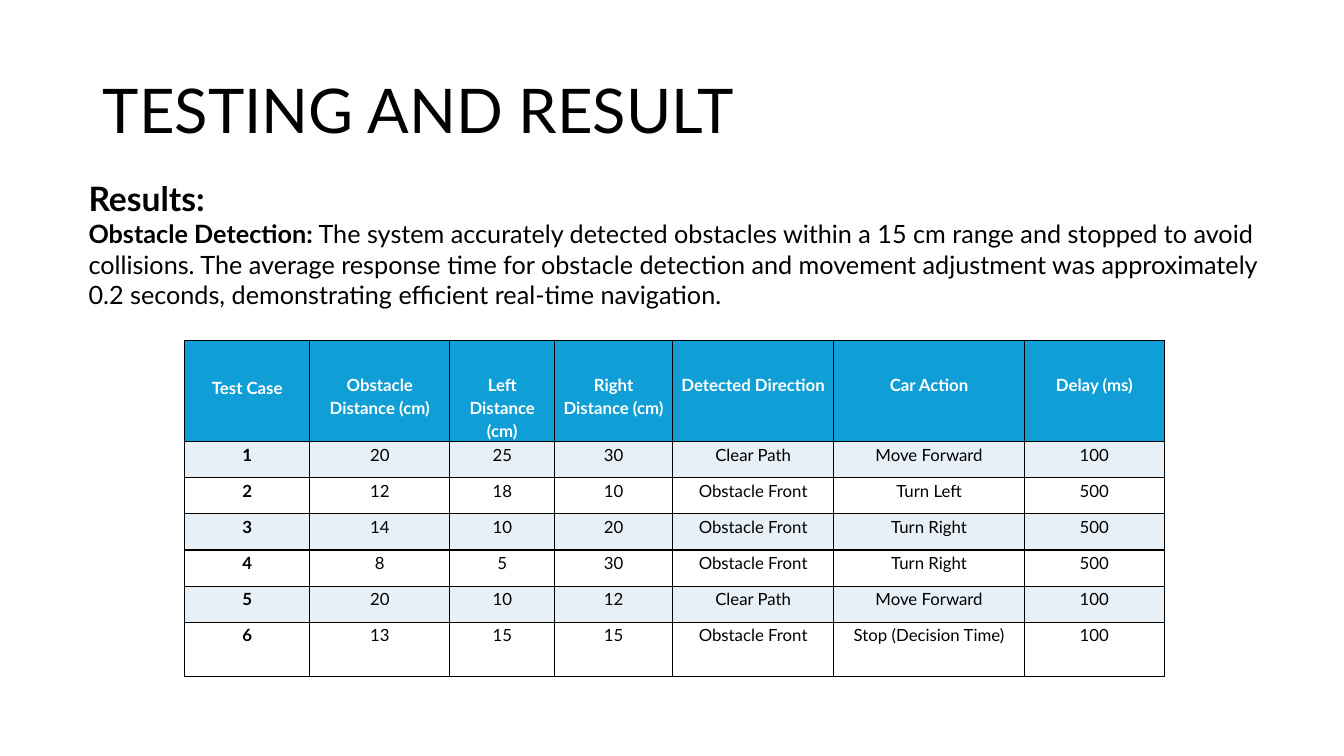
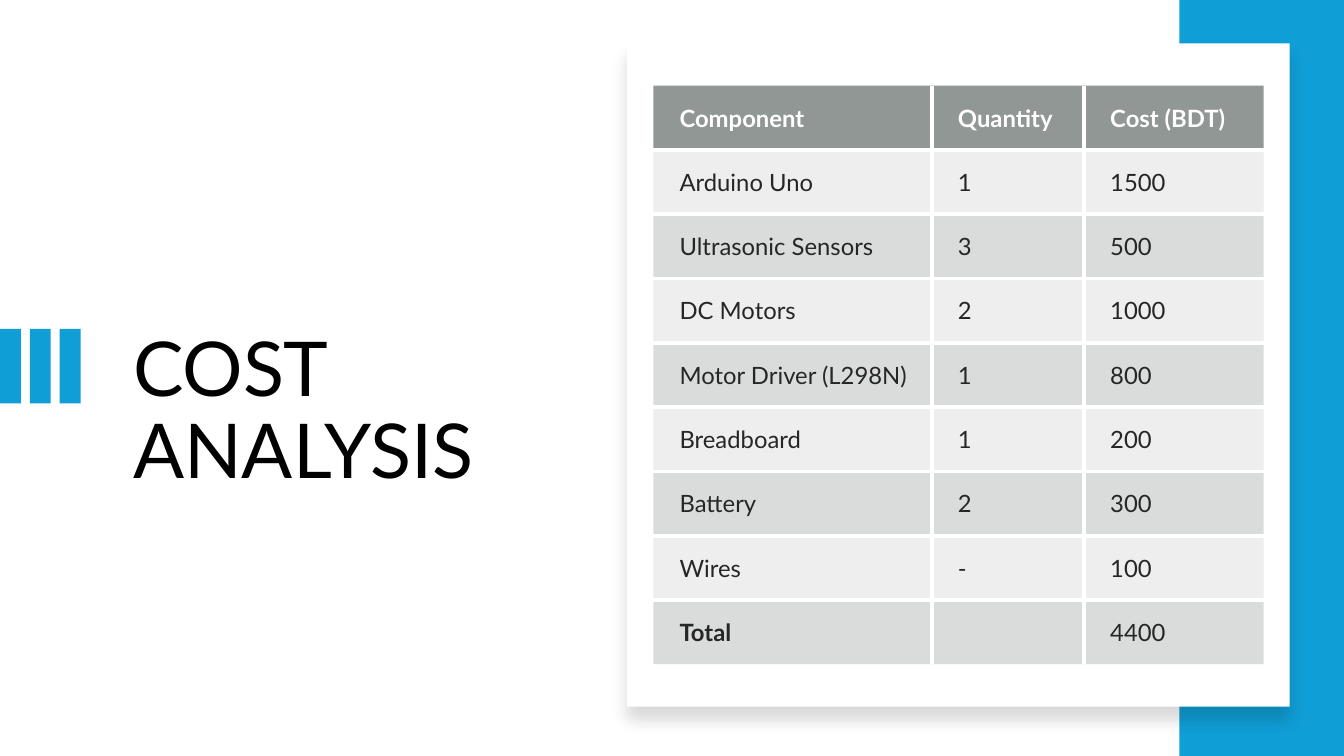
from dataclasses import dataclass

from lxml.etree import SubElement
from pptx import Presentation
from pptx.dml.color import RGBColor
from pptx.enum.shapes import MSO_SHAPE
from pptx.enum.text import MSO_ANCHOR, MSO_AUTO_SIZE, PP_ALIGN
from pptx.oxml.ns import qn
from pptx.util import Inches, Pt

FONT = "Lato"
BLUE, PALE_BLUE = "0F9ED5", "E7F0F7"
BLACK, INK, WHITE = "000000", "262626", "FFFFFF"
HEADER_GREY, ROW_GREY = "636B68", "878E8B"

TEST_HEADS = ["Test Case", "Obstacle Distance (cm)", "Left Distance (cm)", "Right Distance (cm)",
              "Detected Direction", "Car Action", "Delay (ms)"]
TEST_RUNS = [
    ["1", "20", "25", "30", "Clear Path", "Move Forward", "100"],
    ["2", "12", "18", "10", "Obstacle Front", "Turn Left", "500"],
    ["3", "14", "10", "20", "Obstacle Front", "Turn Right", "500"],
    ["4", "8", "5", "30", "Obstacle Front", "Turn Right", "500"],
    ["5", "20", "10", "12", "Clear Path", "Move Forward", "100"],
    ["6", "13", "15", "15", "Obstacle Front", "Stop (Decision Time)", "100"],
]
COSTS = [
    ["Component", "Quantity", "Cost (BDT)"],
    ["Arduino Uno", "1", "1500"],
    ["Ultrasonic Sensors", "3", "500"],
    ["DC Motors", "2", "1000"],
    ["Motor Driver (L298N)", "1", "800"],
    ["Breadboard", "1", "200"],
    ["Battery", "2", "300"],
    ["Wires", "-", "100"],
    ["Total", "", "4400"],
]


@dataclass
class Box:
    left: int
    top: int
    width: int
    height: int

    def inner(self, left, top, width, height):
        """Inner box on a grid of 100 columns by 100 rows."""
        return Box(self.left + int(self.width * left / 100), self.top + int(self.height * top / 100),
                   int(self.width * width / 100), int(self.height * height / 100))

    @property
    def place(self):
        return self.left, self.top, self.width, self.height


PAGE = Box(0, 0, Inches(13.33), Inches(7.5))


# Shared styling
def paint(fill, color, opacity=100):
    fill.solid()
    fill.fore_color.rgb = RGBColor.from_string(color)
    if opacity < 100:
        tint = fill._xPr.find(qn("a:solidFill"))[0]
        SubElement(tint, qn("a:alpha"), val=str(opacity * 1000))


def style_font(font, size, color=BLACK, bold=False):
    font.name, font.size, font.bold = FONT, Pt(size), bold
    font.color.rgb = RGBColor.from_string(color)


def add_block(shapes, box, color):
    block = shapes.add_shape(MSO_SHAPE.RECTANGLE, *box.place)
    block.shadow.inherit = False
    paint(block.fill, color)
    block.line.fill.background()
    return block


def add_titled_slide(deck, title, box, size, anchor):
    slide = deck.slides.add_slide(deck.slide_layouts[5])
    heading = slide.shapes.title
    heading.left, heading.top, heading.width, heading.height = box.place
    frame = heading.text_frame
    frame.text = title
    frame.word_wrap, frame.auto_size = True, MSO_AUTO_SIZE.NONE
    frame.vertical_anchor = anchor
    line = frame.paragraphs[0]
    line.alignment, line.line_spacing = PP_ALIGN.LEFT, 0.9
    style_font(line.font, size)
    return slide


# Tables
def add_grid(slide, box, rows, column_shares, row_shares):
    """Add a filled-in table whose columns and rows divide the box by share."""
    table = slide.shapes.add_table(len(rows), len(rows[0]), *box.place).table
    table.horz_banding = False
    for column, share in zip(table.columns, column_shares):
        column.width = int(box.width * share / sum(column_shares))
    for row, share in zip(table.rows, row_shares):
        row.height = int(box.height * share / sum(row_shares))
    for row, texts in zip(table.rows, rows):
        for cell, text in zip(row.cells, texts):
            cell.text = text
    return table


def set_border(cell, side, color, width):
    """Draw one side (L, R, T or B); a width of 0 leaves it open."""
    edge = SubElement(cell._tc.get_or_add_tcPr(), qn(f"a:ln{side}"), w=str(Pt(width)))
    if width:
        SubElement(SubElement(edge, qn("a:solidFill")), qn("a:srgbClr"), val=color)
    else:
        SubElement(edge, qn("a:noFill"))


def set_margins(cell, left, top, right, bottom):
    cell.margin_left, cell.margin_top = Inches(left), Inches(top)
    cell.margin_right, cell.margin_bottom = Inches(right), Inches(bottom)


def add_test_table(slide, box):
    table = add_grid(slide, box, [TEST_HEADS] + TEST_RUNS,
                     [1.24, 1.39, 1.04, 1.17, 1.6, 1.89, 1.39], [1] + [0.36] * 5 + [0.54])
    for r, row in enumerate(table.rows):
        for c, cell in enumerate(row.cells):
            head = r == 0
            for side in "LRTB":
                set_border(cell, side, BLACK, 1)
            paint(cell.fill, BLUE if head else PALE_BLUE if r % 2 else WHITE)
            head_drop = 0.34 if c == 0 else 0.31
            set_margins(cell, 0.07, head_drop if head else 0, 0.07, 0)
            line = cell.text_frame.paragraphs[0]
            line.alignment, line.line_spacing, line.space_after = PP_ALIGN.CENTER, 1.15, Pt(6)
            style_font(line.font, 12, WHITE if head else BLACK, head or c == 0)


def add_cost_table(slide, box):
    table = add_grid(slide, box, COSTS, [2.76, 1.51, 1.78], [1] * len(COSTS))
    last_row, last_column = len(COSTS) - 1, len(COSTS[0]) - 1
    for r, row in enumerate(table.rows):
        for c, cell in enumerate(row.cells):
            # White rules between cells only
            for side, between in zip("LRTB", (c > 0, c < last_column, r > 0, r < last_row)):
                set_border(cell, side, WHITE, 3 if between else 0)
            head = r == 0
            if head:
                paint(cell.fill, HEADER_GREY, 70)
            else:
                paint(cell.fill, ROW_GREY, 15 if r % 2 else 30)
            set_margins(cell, 0.26, 0.16, 0.16, 0.16)
            cell.vertical_anchor = MSO_ANCHOR.MIDDLE
            style_font(cell.text_frame.paragraphs[0].font, 17, WHITE if head else INK,
                       head or (r == last_row and c == 0))


# Regions
def add_findings(slide, box):
    frame = slide.shapes.add_textbox(*box.place).text_frame
    frame.word_wrap = True
    label = frame.paragraphs[0]
    label.text = "Results:"
    style_font(label.font, 24, bold=True)
    finding = frame.add_paragraph()
    style_font(finding.font, 18)
    topic = finding.add_run()
    topic.text = "Obstacle Detection:"
    topic.font.bold = True
    finding.add_run().text = (
        " The system accurately detected obstacles within a 15 cm range and stopped to avoid "
        "collisions. The average response time for obstacle detection and movement adjustment "
        "was approximately 0.2 seconds, demonstrating efficient real-time navigation.")


def add_accent_bars(slide, box, count=3, bar=26):
    bars = slide.shapes.add_group_shape()
    step = (100 - bar) / (count - 1)
    for i in range(count):
        add_block(bars.shapes, box.inner(i * step, 0, bar, 100), BLUE)


def add_cost_card(slide, box):
    card = add_block(slide.shapes, box, WHITE)
    effects = card._element.spPr.find(qn("a:effectLst"))
    shadow = SubElement(effects, qn("a:outerShdw"), blurRad=str(Pt(11)), dist=str(Pt(10)),
                        dir=str(90 * 60000), algn="t", rotWithShape="0")
    tint = SubElement(shadow, qn("a:srgbClr"), val=BLACK)
    SubElement(tint, qn("a:alpha"), val="15000")
    add_cost_table(slide, box.inner(3.96, 6.38, 92.1, 87.25))


# Slides
def build_results(deck, page):
    slide = add_titled_slide(deck, "TESTING AND RESULT", page.inner(6.9, 5.33, 86.25, 19.33),
                             44, MSO_ANCHOR.MIDDLE)
    add_findings(slide, page.inner(5.85, 22.93, 90.85, 20))
    add_test_table(slide, page.inner(13.75, 45.07, 72.9, 44.4))


def build_costs(deck, page):
    slide = add_titled_slide(deck, "COST ANALYSIS", page.inner(9.15, 43.2, 33.1, 34.8),
                             54, MSO_ANCHOR.TOP)
    add_accent_bars(slide, page.inner(0, 43.5, 6, 9.87))
    add_block(slide.shapes, page.inner(87.75, 0, 12.25, 100), BLUE)
    add_cost_card(slide, page.inner(46.66, 5.73, 49.3, 87.73))


def main():
    deck = Presentation()
    deck.slide_width, deck.slide_height = PAGE.width, PAGE.height
    build_results(deck, PAGE)
    build_costs(deck, PAGE)
    deck.save("out.pptx")


if __name__ == "__main__":
    main()
